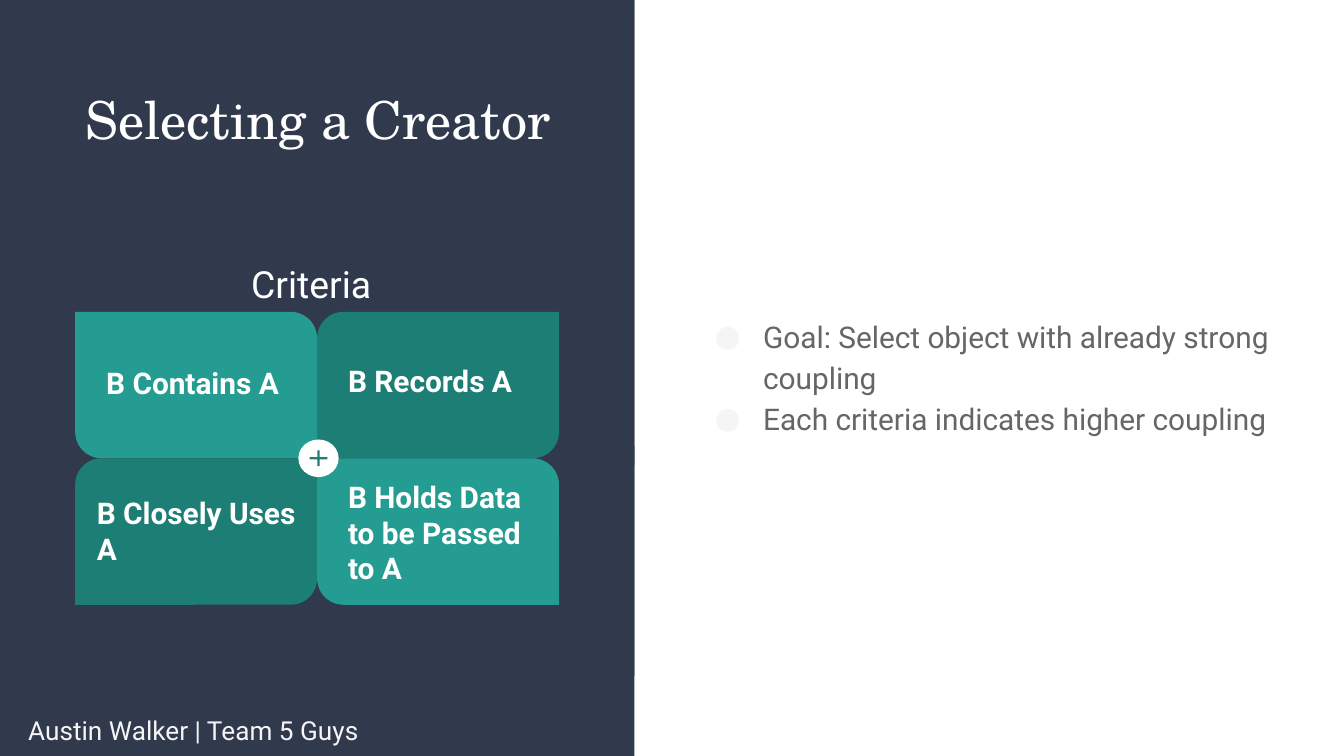
from lxml import etree
from pptx import Presentation
from pptx.dml.color import RGBColor
from pptx.enum.shapes import MSO_SHAPE
from pptx.enum.text import MSO_ANCHOR, PP_ALIGN
from pptx.oxml.ns import qn
from pptx.util import Inches, Pt

NAVY = RGBColor(0x31, 0x39, 0x4D)
SAND = RGBColor(0xD9, 0xC4, 0xB1)
DARK_TEAL = RGBColor(0x1D, 0x7E, 0x75)
TEAL = RGBColor(0x24, 0x9C, 0x91)
WHITE = RGBColor(0xFF, 0xFF, 0xFF)
GREY = RGBColor(0x66, 0x66, 0x66)
PALE = RGBColor(0xF5, 0xF5, 0xF5)

SLIDE_WIDTH = 10
SLIDE_HEIGHT = SLIDE_WIDTH * 9 / 16


class SlideBuilder:
    heading_font = "TeX Gyre Schola"
    body_font = "Roboto"

    def __init__(self, slide):
        self.slide = slide

    def paint(self, shape, color):
        shape.shadow.inherit = False
        shape.fill.solid()
        shape.fill.fore_color.rgb = color
        shape.line.fill.background()

    def shape(self, kind, left, top, width, height, color, adjustments=()):
        shape = self.slide.shapes.add_shape(
            kind, Inches(left), Inches(top), Inches(width), Inches(height))
        for index, value in enumerate(adjustments):
            shape.adjustments[index] = value
        self.paint(shape, color)

    def outline(self, points, color):
        corners = [(Inches(x), Inches(y)) for x, y in points]
        builder = self.slide.shapes.build_freeform(*corners[0])
        builder.add_line_segments(corners[1:], close=True)
        self.paint(builder.convert_to_shape(), color)

    def text(self, lines, left, top, width, height, size, color=WHITE, font=body_font,
             bold=False, margin=0.0, align=PP_ALIGN.LEFT, anchor=MSO_ANCHOR.TOP,
             spacing=1.0, bullet=False):
        box = self.slide.shapes.add_textbox(
            Inches(left), Inches(top), Inches(width), Inches(height))
        frame = box.text_frame
        frame.word_wrap = True
        frame.vertical_anchor = anchor
        frame.margin_left = frame.margin_right = Inches(margin)
        frame.margin_top = frame.margin_bottom = Inches(margin)
        frame.text = "\n".join(lines)
        for paragraph in frame.paragraphs:
            paragraph.alignment = align
            paragraph.line_spacing = spacing
            if bullet:
                self.bullet(paragraph)
            for run in paragraph.runs:
                run.font.name = font
                run.font.size = Pt(size)
                run.font.bold = bold
                run.font.color.rgb = color

    def bullet(self, paragraph):
        properties = paragraph._p.get_or_add_pPr()
        properties.set("marL", str(Inches(0.5)))
        properties.set("indent", str(Inches(-0.36)))
        bullet_color = etree.SubElement(properties, qn("a:buClr"))
        etree.SubElement(bullet_color, qn("a:srgbClr"), val=str(PALE))
        etree.SubElement(properties, qn("a:buFont"), typeface=self.body_font)
        etree.SubElement(properties, qn("a:buChar"), char="●")


def main():
    presentation = Presentation()
    presentation.slide_width = Inches(SLIDE_WIDTH)
    presentation.slide_height = Inches(SLIDE_HEIGHT)
    slide = presentation.slides.add_slide(presentation.slide_layouts[6])
    builder = SlideBuilder(slide)

    # Left panel with its slanted layers
    panel_width = 4.72
    builder.shape(MSO_SHAPE.RECTANGLE, 0, 0, panel_width, SLIDE_HEIGHT, NAVY)
    for offset, color in ((0.05, SAND), (0, NAVY)):
        builder.outline([(0, offset), (panel_width, offset),
                         (panel_width, 3.46 + offset), (0, 4.81 + offset)], color)
    builder.shape(MSO_SHAPE.RECTANGLE, 0, 3.32, panel_width, 1.71, NAVY)

    # Title, goals and footer
    builder.text(["Selecting a Creator"], 0.34, 0.55, 4.05, 2.74, 28,
                 font=builder.heading_font, margin=0.1, align=PP_ALIGN.CENTER)
    builder.text(["Goal: Select object with already strong coupling",
                  "Each criteria indicates higher coupling"],
                 5.08, 0.55, 4.56, 4.48, 16, GREY, margin=0.1,
                 anchor=MSO_ANCHOR.MIDDLE, spacing=1.15, bullet=True)
    builder.text(["Austin Walker | Team 5 Guys"], 0.21, 5.28, 9.32, 0.26, 14,
                 PALE, spacing=1.15)

    # Criteria grid: column, row, label and its box
    grid_left, grid_top, tile_width, tile_height = 0.56, 2.32, 1.8, 1.09
    criteria = [
        (1, 0, "B Records A", (2.59, 2.7, 1.34, 0.32)),
        (0, 0, "B Contains A", (0.79, 2.71, 1.34, 0.29)),
        (0, 1, "B Closely Uses A", (0.72, 3.68, 1.48, 0.55)),
        (1, 1, "B Holds Data to be Passed to A", (2.59, 3.56, 1.34, 0.78)),
    ]
    for column, row, label, label_box in criteria:
        on_diagonal = column == row
        builder.shape(MSO_SHAPE.ROUND_2_DIAG_RECTANGLE,
                      grid_left + column * tile_width, grid_top + row * tile_height,
                      tile_width, tile_height,
                      TEAL if on_diagonal else DARK_TEAL,
                      (0, 0.18) if on_diagonal else (0.18, 0))
        builder.text([label], *label_box, 16, bold=True)

    # Plus badge and grid heading
    builder.shape(MSO_SHAPE.OVAL, 2.22, 3.27, 0.3, 0.28, WHITE)
    builder.shape(MSO_SHAPE.MATH_PLUS, 2.28, 3.33, 0.18, 0.16, DARK_TEAL, (0.1,))
    builder.text(["Criteria"], 1.77, 1.84, 1.2, 0.54, 20, margin=0.1)

    presentation.save("out.pptx")


if __name__ == "__main__":
    main()
